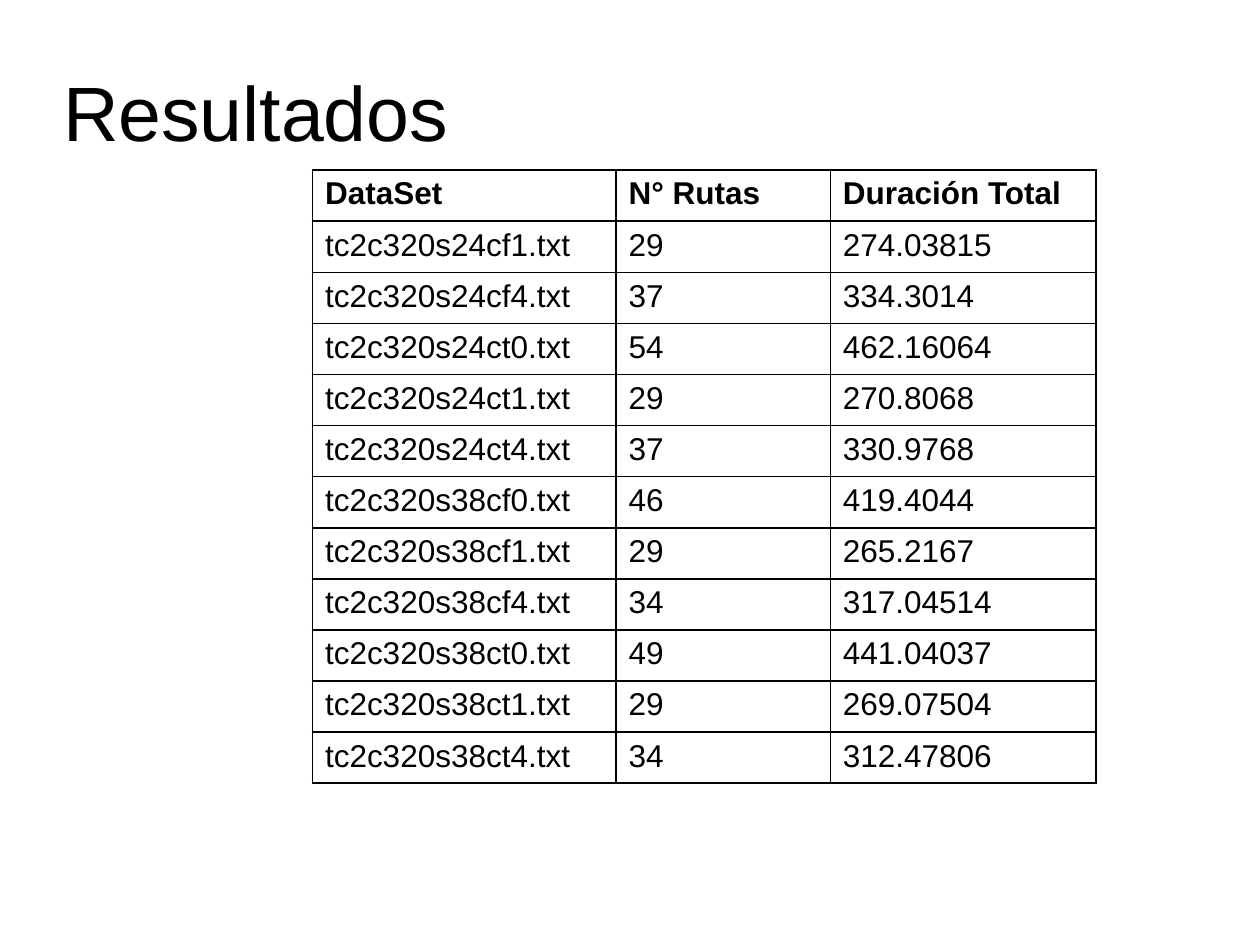
from lxml import etree
from pptx import Presentation
from pptx.dml.color import RGBColor
from pptx.enum.text import MSO_ANCHOR, PP_ALIGN
from pptx.oxml.ns import qn
from pptx.util import Inches, Pt

BLACK = RGBColor(0x00, 0x00, 0x00)
LEFT = PP_ALIGN.LEFT
MIDDLE = MSO_ANCHOR.MIDDLE
TITLE_ONLY = 5
BORDER_SIDES = ("a:lnL", "a:lnR", "a:lnT", "a:lnB")

RESULTS = [
    ("DataSet", "N° Rutas", "Duración Total"),
    ("tc2c320s24cf1.txt", "29", "274.03815"),
    ("tc2c320s24cf4.txt", "37", "334.3014"),
    ("tc2c320s24ct0.txt", "54", "462.16064"),
    ("tc2c320s24ct1.txt", "29", "270.8068"),
    ("tc2c320s24ct4.txt", "37", "330.9768"),
    ("tc2c320s38cf0.txt", "46", "419.4044"),
    ("tc2c320s38cf1.txt", "29", "265.2167"),
    ("tc2c320s38cf4.txt", "34", "317.04514"),
    ("tc2c320s38ct0.txt", "49", "441.04037"),
    ("tc2c320s38ct1.txt", "29", "269.07504"),
    ("tc2c320s38ct4.txt", "34", "312.47806"),
]


class SlideBuilder:
    """Holds the style and the slide being filled."""

    font_name = "Arial"
    color = BLACK
    border_width = Pt(1)

    def __init__(self, slide):
        self.slide = slide

    def style(self, paragraph, size, bold=False):
        paragraph.alignment = LEFT
        font = paragraph.font
        font.name = self.font_name
        font.size = Pt(size)
        font.bold = bold
        font.color.rgb = self.color

    def title(self, text, left, top, width, height):
        shape = self.slide.shapes.title
        shape.left, shape.top = Inches(left), Inches(top)
        shape.width, shape.height = Inches(width), Inches(height)
        frame = shape.text_frame
        frame.margin_left = frame.margin_right = 0
        frame.margin_top = frame.margin_bottom = 0
        frame.vertical_anchor = MIDDLE
        frame.text = text
        paragraph = frame.paragraphs[0]
        paragraph.line_spacing = 0.9
        self.style(paragraph, 44)

    def borders(self, cell):
        properties = cell._tc.get_or_add_tcPr()
        for side in BORDER_SIDES:
            line = etree.SubElement(properties, qn(side), w=str(self.border_width))
            fill = etree.SubElement(line, qn("a:solidFill"))
            etree.SubElement(fill, qn("a:srgbClr"), val=str(self.color))

    def table(self, rows, left, top, column_widths, height):
        frame = self.slide.shapes.add_table(
            len(rows), len(column_widths), Inches(left), Inches(top),
            Inches(sum(column_widths)), Inches(height))
        table = frame.table
        table.horz_banding = False
        for column, width in zip(table.columns, column_widths):
            column.width = Inches(width)
        for row_index, values in enumerate(rows):
            for column_index, value in enumerate(values):
                cell = table.cell(row_index, column_index)
                cell.text = value
                self.style(cell.text_frame.paragraphs[0], 18, bold=row_index == 0)
                self.borders(cell)
                cell.fill.background()


def main():
    presentation = Presentation()
    presentation.slide_width = Inches(10)
    presentation.slide_height = Inches(7.5)
    layout = presentation.slide_layouts[TITLE_ONLY]
    builder = SlideBuilder(presentation.slides.add_slide(layout))

    # Heading
    builder.title("Resultados", 0.5, 0.3, 9, 1.25)

    # Routes and total duration per data set
    builder.table(RESULTS, 2.48, 1.35, (2.41, 1.7, 2.11), 4.87)

    presentation.save("out.pptx")


if __name__ == "__main__":
    main()
